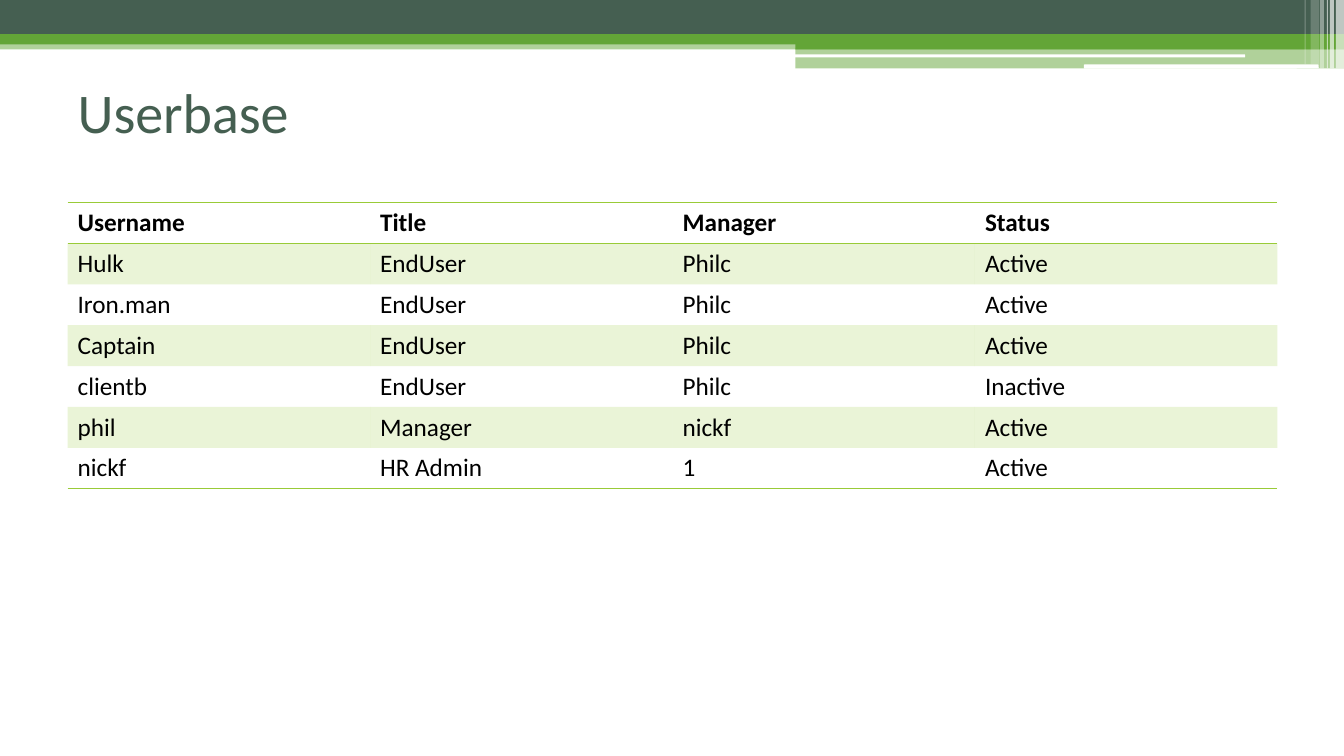
from lxml.etree import SubElement
from pptx import Presentation
from pptx.dml.color import RGBColor
from pptx.enum.shapes import MSO_SHAPE
from pptx.enum.text import MSO_ANCHOR, PP_ALIGN
from pptx.oxml import parse_xml
from pptx.oxml.ns import nsdecls, qn
from pptx.util import Inches, Pt

FONT = "Calibri"
DARK, GREEN, LIME, WHITE, BLACK = "455F51", "63A537", "99CB38", "FFFFFF", "000000"

# Left, top, width, height, colour, opacity in percent
BARS = [
    (0, 0.4, 13.33, 0.09, GREEN, 50),
    (0, 0, 13.33, 0.34, DARK, 100),
    (0, 0.34, 13.33, 0.1, GREEN, 100),
    (7.89, 0.39, 5.44, 0.1, GREEN, 100),
    (7.89, 0.48, 5.44, 0.2, GREEN, 50),
]
SLOTS = [
    (7.88, 0.54, 4.47, 0.03, WHITE, 100),
    (10.75, 0.64, 2.33, 0.04, WHITE, 100),
]
STRIPES = [
    (13.25, 0, 0.08, 0.68, WHITE, 65),
    (13.19, 0, 0.04, 0.68, WHITE, 65),
    (13.16, 0, 0.01, 0.68, WHITE, 60),
    (13.09, 0, 0.04, 0.68, WHITE, 40),
    (13, 0, 0.08, 0.64, WHITE, 20),
    (12.94, 0, 0.01, 0.64, WHITE, 30),
]
USERS = [
    ("Username", "Title", "Manager", "Status"),
    ("Hulk", "EndUser", "Philc", "Active"),
    ("Iron.man", "EndUser", "Philc", "Active"),
    ("Captain", "EndUser", "Philc", "Active"),
    ("clientb", "EndUser", "Philc", "Inactive"),
    ("phil", "Manager", "nickf", "Active"),
    ("nickf", "HR Admin", "1", "Active"),
]


def color(value):
    return RGBColor.from_string(value)


def paint(fill, properties, value, opacity=100):
    """Fill a shape or cell, given the XML element that holds its fill."""
    fill.solid()
    fill.fore_color.rgb = color(value)
    if opacity < 100:
        tint = properties.find(qn("a:solidFill")).find(qn("a:srgbClr"))
        SubElement(tint, qn("a:alpha")).set("val", str(opacity * 1000))


def add_text(paragraph, text, size, value, bold=False):
    run = paragraph.add_run()
    run.text = text
    run.font.name = FONT
    run.font.size = Pt(size)
    run.font.bold = bold
    run.font.color.rgb = color(value)


def set_borders(cell, lined_sides):
    """Draw the listed sides and clear the others."""
    properties = cell._tc.get_or_add_tcPr()
    for index, side in enumerate("LRTB"):
        if side in lined_sides:
            paint_xml = f'<a:solidFill><a:srgbClr val="{LIME}"/></a:solidFill>'
        else:
            paint_xml = "<a:noFill/>"
        border = parse_xml(
            f'<a:ln{side} {nsdecls("a")} w="{Pt(1)}">{paint_xml}</a:ln{side}>')
        properties.insert(index, border)


def add_blocks(slide, left, top, blocks, kind=MSO_SHAPE.RECTANGLE):
    for x, y, width, height, value, opacity in blocks:
        shape = slide.shapes.add_shape(
            kind, Inches(left + x), Inches(top + y), Inches(width), Inches(height))
        shape.shadow.inherit = False
        shape.line.fill.background()
        paint(shape.fill, shape._element.spPr, value, opacity)


def add_banner(slide, left, top):
    add_blocks(slide, left, top, BARS)
    add_blocks(slide, left, top, SLOTS, MSO_SHAPE.ROUNDED_RECTANGLE)
    add_blocks(slide, left, top, STRIPES)


def place_title(slide, text, left, top, width, height):
    title = slide.shapes.title
    title.left, title.top = Inches(left), Inches(top)
    title.width, title.height = Inches(width), Inches(height)
    title.text_frame.vertical_anchor = MSO_ANCHOR.MIDDLE
    paragraph = title.text_frame.paragraphs[0]
    paragraph.alignment = PP_ALIGN.LEFT
    add_text(paragraph, text, 40, DARK)


def add_user_table(slide, users, left, top, width, height):
    last = len(users) - 1
    table = slide.shapes.add_table(
        len(users), len(users[0]),
        Inches(left), Inches(top), Inches(width), Inches(height)).table
    table.first_row = False
    table.horz_banding = False
    for row, user in enumerate(users):
        sides = {0: "TB", 1: "T", last: "B"}.get(row, "")
        for column, text in enumerate(user):
            cell = table.cell(row, column)
            if row % 2:
                paint(cell.fill, cell._tc.get_or_add_tcPr(), LIME, 20)
            else:
                cell.fill.background()
            set_borders(cell, sides)
            add_text(cell.text_frame.paragraphs[0], text, 18, BLACK, bold=row == 0)


def main():
    presentation = Presentation()
    presentation.slide_width = Inches(13.33)
    presentation.slide_height = Inches(7.5)
    slide = presentation.slides.add_slide(presentation.slide_layouts[5])

    # Banner across the top
    add_banner(slide, 0, 0)
    # Heading
    place_title(slide, "Userbase", 0.67, 0.52, 12, 1.17)
    # Table of users
    add_user_table(slide, USERS, 0.67, 2.01, 12, 2.84)

    presentation.save("out.pptx")


if __name__ == "__main__":
    main()
